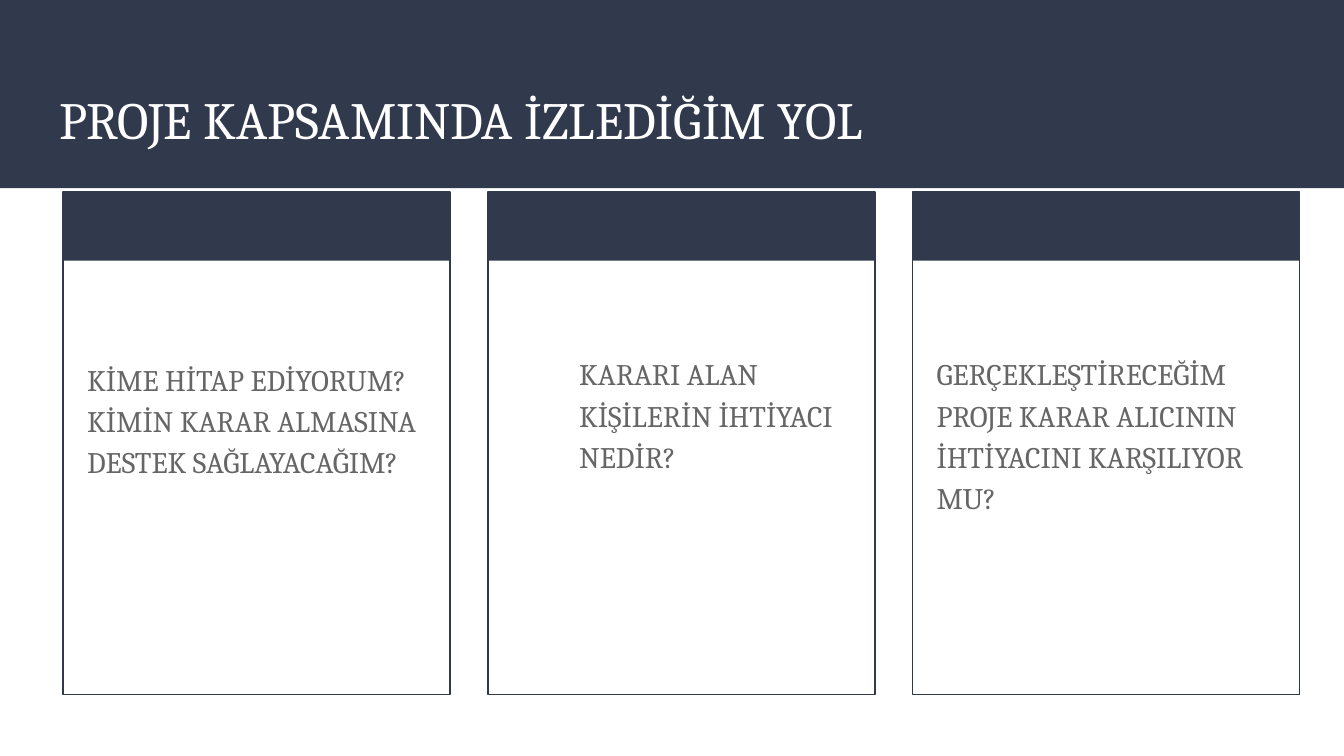
from pptx import Presentation
from pptx.dml.color import RGBColor
from pptx.enum.shapes import MSO_SHAPE
from pptx.enum.text import MSO_ANCHOR, MSO_AUTO_SIZE, PP_ALIGN
from pptx.util import Inches, Pt

RECTANGLE = MSO_SHAPE.RECTANGLE
TOP = MSO_ANCHOR.TOP
NO_AUTOFIT = MSO_AUTO_SIZE.NONE
LEFT = PP_ALIGN.LEFT

NAVY = RGBColor(0x31, 0x39, 0x4D)
GRAY = RGBColor(0x66, 0x66, 0x66)
WHITE = RGBColor(0xFF, 0xFF, 0xFF)
FONT = "Cambria"

SLIDE_WIDTH = Inches(10)
SLIDE_HEIGHT = SLIDE_WIDTH * 9 // 16
CARD_LEFT, CARD_TOP, CARD_PITCH = 0.47, 1.43, 3.16
CARD_WIDTH, CARD_HEIGHT, HEADER_HEIGHT = 2.88, 3.74, 0.51

# text, left inset, top inset
CARDS = [
    ("KİME HİTAP EDİYORUM? KİMİN KARAR ALMASINA DESTEK SAĞLAYACAĞIM?", 0.1, 0.63),
    ("KARARI ALAN KİŞİLERİN İHTİYACI NEDİR?", 0.6, 0.59),
    ("GERÇEKLEŞTİRECEĞİM PROJE KARAR ALICININ İHTİYACINI KARŞILIYOR MU?", 0.1, 0.59),
]


def add_rectangle(shapes, left, top, width, height, filled=True):
    """Add a navy rectangle, either filled or outlined."""
    shape = shapes.add_shape(
        RECTANGLE, Inches(left), Inches(top), Inches(width), Inches(height)
    )
    shape.shadow.inherit = False
    if filled:
        shape.fill.solid()
        shape.fill.fore_color.rgb = NAVY
        shape.line.fill.background()
    else:
        shape.fill.background()
        shape.line.color.rgb = NAVY
        shape.line.width = Pt(0.75)
    return shape


def write_text(shape, text, size, color, left_inset=0.1, top_inset=0.1):
    """Put one left-aligned paragraph in a shape and return it."""
    frame = shape.text_frame
    frame.text = text
    frame.word_wrap = True
    frame.auto_size = NO_AUTOFIT
    frame.vertical_anchor = TOP
    frame.margin_left, frame.margin_top = Inches(left_inset), Inches(top_inset)
    frame.margin_right = frame.margin_bottom = Inches(0.1)
    paragraph = frame.paragraphs[0]
    paragraph.alignment = LEFT
    font = paragraph.runs[0].font
    font.name, font.size, font.color.rgb = FONT, Pt(size), color
    return paragraph


def add_title(slide, text):
    """Place the title over a full-width band."""
    band = add_rectangle(slide.shapes, 0, 0, 10, 1.4)
    title = slide.shapes.title
    band._element.addnext(title._element)
    title.left, title.top = Inches(0.34), Inches(0.55)
    title.width, title.height = Inches(9.32), Inches(0.68)
    write_text(title, text, 28, WHITE)


def add_card(slide, left, text, left_inset, top_inset):
    """Add an outlined card with a header bar and its question."""
    shapes = slide.shapes.add_group_shape().shapes
    add_rectangle(shapes, left, CARD_TOP, CARD_WIDTH, HEADER_HEIGHT)
    add_rectangle(shapes, left, CARD_TOP, CARD_WIDTH, CARD_HEIGHT, filled=False)
    question = slide.shapes.add_textbox(
        Inches(left + 0.08), Inches(2.02), Inches(2.71), Inches(3.06)
    )
    paragraph = write_text(question, text, 16, GRAY, left_inset, top_inset)
    paragraph.line_spacing = 1.15


def main():
    """Build the slide and save it."""
    presentation = Presentation()
    presentation.slide_width = SLIDE_WIDTH
    presentation.slide_height = SLIDE_HEIGHT
    slide = presentation.slides.add_slide(presentation.slide_layouts[5])
    add_title(slide, "PROJE KAPSAMINDA İZLEDİĞİM YOL")
    for index, card in enumerate(CARDS):
        add_card(slide, CARD_LEFT + index * CARD_PITCH, *card)
    presentation.save("out.pptx")


if __name__ == "__main__":
    main()
